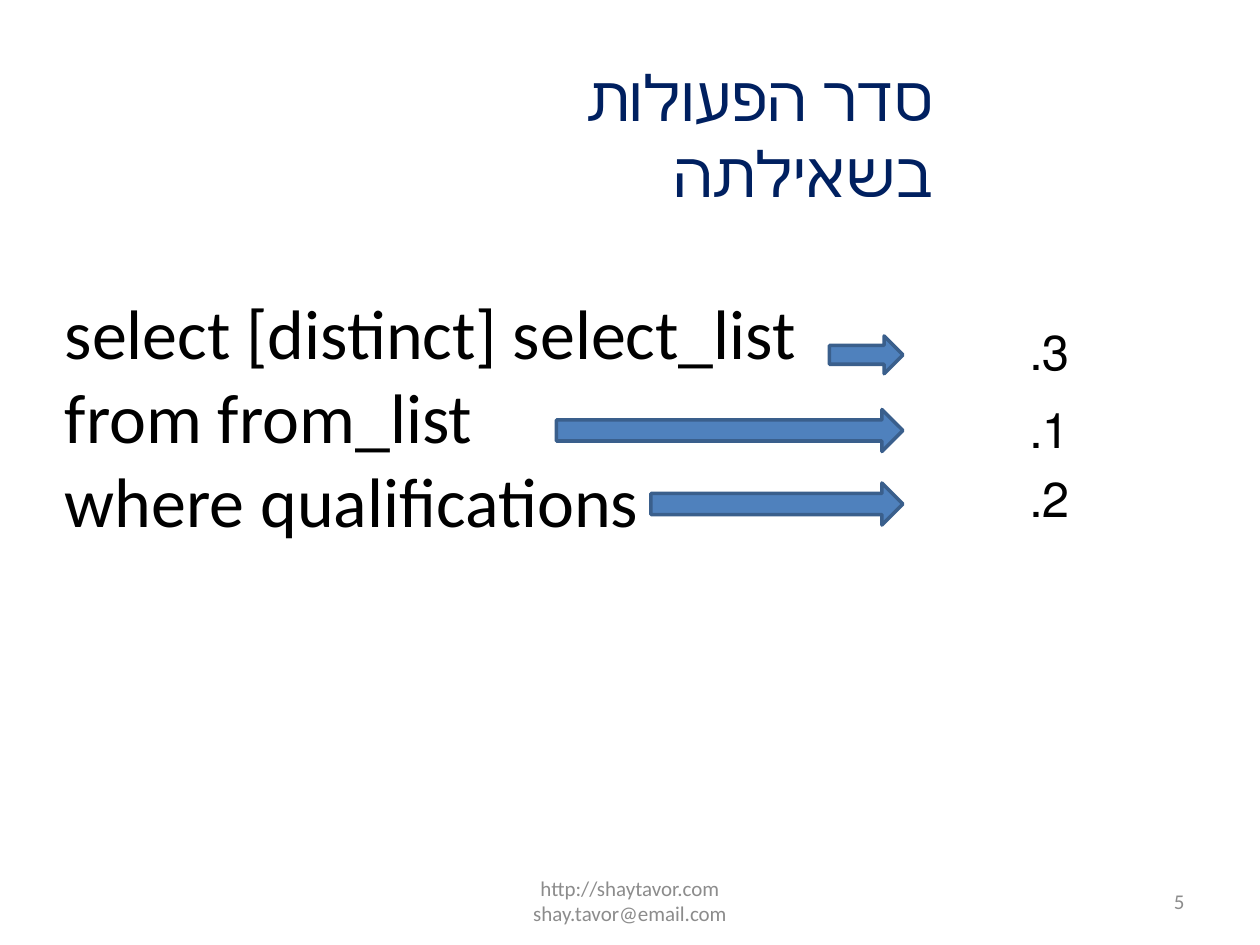
from pptx import Presentation
from pptx.dml.color import RGBColor
from pptx.enum.shapes import MSO_SHAPE as Shape
from pptx.enum.text import MSO_ANCHOR as Anchor, MSO_AUTO_SIZE as AutoSize, PP_ALIGN as Align
from pptx.util import Inches, Pt

CELLS_PER_INCH = 12
ARROW_END = 86
CLAUSES = ["select [distinct] select_list", "from from_list", "where qualifications"]
STEPS = [
    {"label": "3.", "label_row": 30, "arrow": (79, 32, 3.6)},
    {"label": "1.", "label_row": 37.5, "arrow": (53, 39, 4)},
    {"label": "2.", "label_row": 44, "arrow": (62, 46, 4)},
]
FOOTERS = [
    ("http://shaytavor.com shay.tavor@email.com", 41, 38, Align.CENTER),
    ("5", 86, 28, Align.RIGHT),
]


def color(value):
    """Turn a hex string into a colour."""
    return RGBColor.from_string(value)


def grid(*cells):
    """Turn grid cells into lengths."""
    return [Inches(cell / CELLS_PER_INCH) for cell in cells]


def apply(target, values):
    """Set the attributes of an object from a dict."""
    for name, value in values.items():
        setattr(target, name, value)


def write(shape, lines, size, fill="000000", align=Align.LEFT, rtl=False,
          anchor=Anchor.TOP, fit=AutoSize.SHAPE_TO_FIT_TEXT):
    """Fill a shape with formatted paragraphs."""
    frame = shape.text_frame
    frame.text = "\n".join(lines)
    apply(frame, {"word_wrap": True, "auto_size": fit, "vertical_anchor": anchor})
    for paragraph in frame.paragraphs:
        paragraph.alignment = align
        if rtl:
            paragraph._p.get_or_add_pPr().set("rtl", "1")
        for run in paragraph.runs:
            apply(run.font, {"name": "Calibri", "size": Pt(size)})
            run.font.color.rgb = color(fill)


def add_title(slide, text):
    """Place and format the title placeholder."""
    title = slide.shapes.title
    apply(title, dict(zip(("left", "top", "width", "height"), grid(32, 5, 58, 8.5))))
    write(title, [text], 36, "002060", Align.RIGHT, rtl=True)


def add_text(slide, cells, lines, size, **options):
    """Add a text box on the grid."""
    write(slide.shapes.add_textbox(*grid(*cells)), lines, size, **options)


def add_arrow(slide, column, row, height):
    """Add a block arrow that ends at the shared right edge."""
    cells = grid(column, row, ARROW_END - column, height)
    arrow = slide.shapes.add_shape(Shape.RIGHT_ARROW, *cells)
    arrow.shadow.inherit = False
    arrow.fill.solid()
    arrow.fill.fore_color.rgb = color("4F81BD")
    arrow.line.color.rgb = color("3A5F8C")
    arrow.line.width = Pt(2)


def main():
    """Build the slide and save it."""
    presentation = Presentation()
    apply(presentation, {"slide_width": Inches(10), "slide_height": Inches(7.5)})
    slide = presentation.slides.add_slide(presentation.slide_layouts[5])
    add_title(slide, "סדר הפעולות בשאילתה")
    add_text(slide, (5, 27, 79, 29), CLAUSES, 40)
    for step in STEPS:
        add_arrow(slide, *step["arrow"])
        add_text(slide, (93, step["label_row"], 10, 6.8), [step["label"]], 28,
                 align=Align.RIGHT, rtl=True)
    for text, column, width, align in FOOTERS:
        add_text(slide, (column, 83.4, width, 4.8), [text], 12, fill="8C8C8C",
                 align=align, anchor=Anchor.MIDDLE, fit=AutoSize.NONE)
    presentation.save("out.pptx")


if __name__ == "__main__":
    main()
